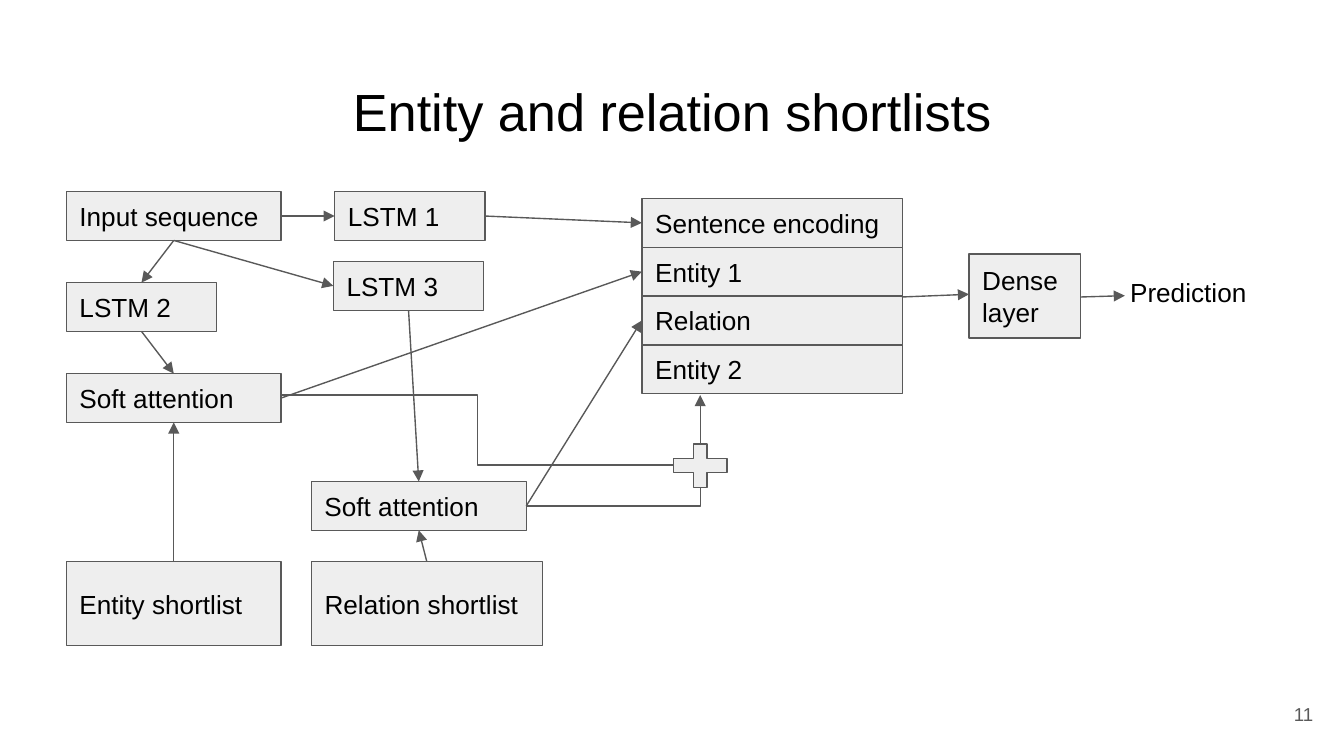
"""Draw the entity and relation shortlist network on one slide."""
from lxml import etree
from pptx import Presentation, util as u
from pptx.dml.color import RGBColor
from pptx.enum import shapes, text
from pptx.oxml.ns import qn

INK = RGBColor(0, 0, 0)
EDGE = RGBColor(0x59, 0x59, 0x59)
PALE = RGBColor(0xEE, 0xEE, 0xEE)
CELL = u.Inches(0.1)
ROW = 3.63
TALL = 6.25
LEFT, MID, STACK = 4.93, 23.16, 47.76
TOP, LEAD, BASE, TAIL = range(4)


def grid(*cells):
    """Turn grid cells into lengths."""
    return [u.Emu(round(cell * CELL)) for cell in cells]


def write(shape, words, size=14, color=INK, align=text.PP_ALIGN.LEFT,
          anchor=text.MSO_ANCHOR.MIDDLE):
    """Set the words of a shape."""
    frame = shape.text_frame
    frame.word_wrap = True
    frame.vertical_anchor = anchor
    frame.margin_left = frame.margin_right = CELL
    frame.margin_top = frame.margin_bottom = CELL
    frame.text = words
    para = frame.paragraphs[0]
    para.alignment = align
    para.font.name = "Arial"
    para.font.size = u.Pt(size)
    para.font.color.rgb = color


def label(slide, words, place, **style):
    """Add plain text."""
    write(slide.shapes.add_textbox(*grid(*place)), words, **style)


def block(slide, kind, place):
    """Add a pale shape with a thin edge."""
    shape = slide.shapes.add_shape(kind, *grid(*place))
    shape.shadow.inherit = False
    shape.fill.solid()
    shape.fill.fore_color.rgb = PALE
    shape.line.color.rgb = EDGE
    shape.line.width = u.Pt(0.75)
    return shape


def box(slide, words, left, top, width, height=ROW):
    """Add a named layer of the network."""
    shape = block(slide, shapes.MSO_SHAPE.RECTANGLE, (left, top, width, height))
    write(shape, words)
    return shape


def link(slide, start, end, kind=shapes.MSO_CONNECTOR.STRAIGHT, head=True):
    """Add a thin line between two grid points."""
    line = slide.shapes.add_connector(kind, *grid(*start, *end))
    line.line.color.rgb = EDGE
    line.line.width = u.Pt(0.75)
    if head:
        etree.SubElement(line.line._get_or_add_ln(), qn("a:tailEnd"), type="triangle")
    etree.SubElement(line._element.spPr, qn("a:effectLst"))
    return line


def join(slide, first, out, last, into):
    """Glue an arrow to the sides of two boxes."""
    line = link(slide, (0, 0), (1, 1))
    line.begin_connect(first, out)
    line.end_connect(last, into)


def main():
    """Build and save the slide."""
    deck = Presentation()
    deck.slide_width, deck.slide_height = grid(100, 56.25)
    slide = deck.slides.add_slide(deck.slide_layouts[6])
    label(slide, "Entity and relation shortlists", (3.4, 4.9, 93.2, 6.3), size=28,
          align=text.PP_ALIGN.CENTER, anchor=text.MSO_ANCHOR.TOP)

    source = box(slide, "Input sequence", LEFT, 14.26, 16)
    third = box(slide, "LSTM 3", 24.8, 19.46, 11.2)
    second = box(slide, "LSTM 2", LEFT, 21.03, 11.2)
    first = box(slide, "LSTM 1", 24.9, 14.26, 11.2)
    names = box(slide, "Entity shortlist", LEFT, 41.8, 16, TALL)
    ties = box(slide, "Relation shortlist", MID, 41.8, 17.2, TALL)
    soft = box(slide, "Soft attention", LEFT, 27.8, 16)
    focus = box(slide, "Soft attention", MID, 35.83, 16)
    parts = ("Sentence encoding", "Entity 1", "Relation", "Entity 2")
    code, entity, bond, _ = [box(slide, part, STACK, 14.77 + i * ROW, 19.4)
                             for i, part in enumerate(parts)]
    box(slide, "Dense layer", 72.1, 18.9, 8.3, TALL)

    for ends in ((source, TAIL, first, LEAD), (source, BASE, second, TOP),
                 (source, BASE, third, LEAD), (second, BASE, soft, TOP),
                 (names, TOP, soft, BASE), (third, BASE, focus, TOP),
                 (ties, TOP, focus, BASE), (first, TAIL, code, LEAD),
                 (soft, TAIL, entity, LEAD), (focus, TAIL, bond, LEAD)):
        join(slide, *ends)

    elbow = shapes.MSO_CONNECTOR.ELBOW
    link(slide, (20.9, 29.4), (50.2, 34.6), elbow, head=False)
    plus = block(slide, shapes.MSO_SHAPE.MATH_PLUS, (49.4, 32.45, 5.4, 4.4))
    plus.adjustments[0] = 0.235
    turn = link(slide, (39.15, 37.65), (52.1, 36.3), elbow, head=False)
    turn._element.spPr.find(qn("a:prstGeom")).set("prst", "bentConnector2")
    for start, end in (((52.1, 33), (52.1, 29.4)), ((67.1, 22.1), (72.1, 21.9)),
                       ((80.4, 22.1), (83.7, 22))):
        link(slide, start, end)

    label(slide, "Prediction", (83.1, 19.6, 11.8, 4.2), anchor=text.MSO_ANCHOR.TOP)
    label(slide, "11", (92.7, 51, 6, 4.3), size=10, color=EDGE,
          align=text.PP_ALIGN.RIGHT)
    deck.save("out.pptx")


main()
